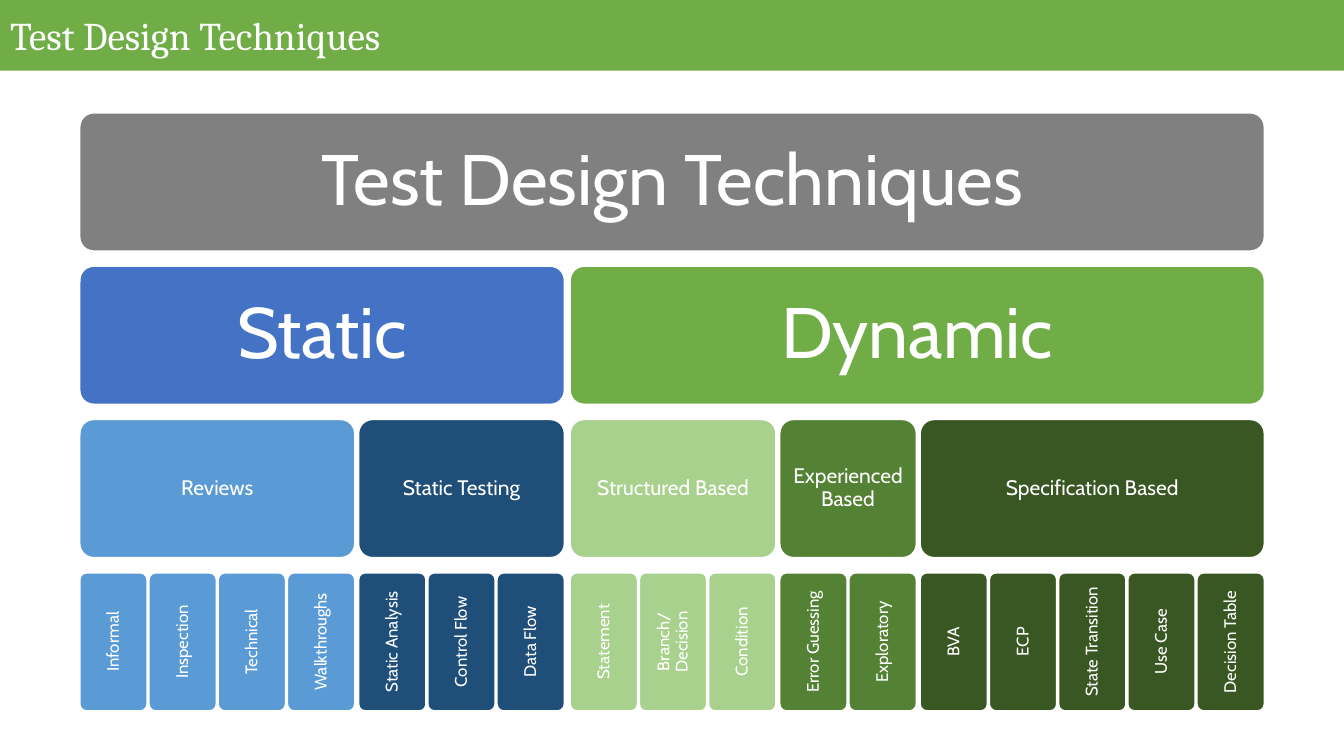
from pptx import Presentation
from pptx.dml.color import RGBColor
from pptx.enum.shapes import MSO_SHAPE
from pptx.enum.text import MSO_ANCHOR, MSO_AUTO_SIZE, PP_ALIGN
from pptx.util import Pt

TITLE = "Test Design Techniques"
# Each block: label, fill, child blocks (a plain string is a leaf in its parent's fill)
TREE = ("Test Design Techniques", "808080", [
    ("Static", "4472C4", [
        ("Reviews", "5B9BD5",
         ["Informal", "Inspection", "Technical", "Walkthroughs"]),
        ("Static Testing", "1F4E79",
         ["Static Analysis", "Control Flow", "Data Flow"]),
    ]),
    ("Dynamic", "70AD47", [
        ("Structured Based", "A9D18E",
         ["Statement", "Branch/Decision", "Condition"]),
        ("Experienced Based", "548235", ["Error Guessing", "Exploratory"]),
        ("Specification Based", "385723",
         ["BVA", "ECP", "State Transition", "Use Case", "Decision Table"]),
    ]),
])
WHITE, GREEN = "FFFFFF", "70AD47"

# One entry per level of the tree
SIZES = [51, 51, 15, 12]
INSETS = [15, 15, 4.3, 3.6]
GAPS = [0, 4.2, 2.8, 1.4]

LEFT, TOP = 57, 80.7
LEAF, HIGH, STEP = 48.04, 98.6, 109.5


def color(code):
    return RGBColor.from_string(code)


def assign(item, values):
    for name, value in values.items():
        setattr(item, name, value)


def style(run, face, size):
    assign(run.font, {"name": face, "size": Pt(size)})
    run.font.color.rgb = color(WHITE)


def block(label, fill, level, left, width):
    box = slide.shapes.add_shape(
        MSO_SHAPE.ROUNDED_RECTANGLE, Pt(left), Pt(TOP + level * STEP),
        Pt(width), Pt(HIGH))
    box.adjustments[0] = 0.1
    box.shadow.inherit = False
    box.fill.solid()
    box.fill.fore_color.rgb = color(fill)
    box.line.color.rgb = color(WHITE)
    box.line.width = Pt(1)
    frame = box.text_frame
    inset = Pt(INSETS[level])
    assign(frame, {
        "word_wrap": True, "vertical_anchor": MSO_ANCHOR.MIDDLE,
        "margin_left": inset, "margin_right": inset,
        "margin_top": inset, "margin_bottom": inset})
    if level == len(SIZES) - 1:
        frame._txBody.bodyPr.set("vert", "vert270")
    para = frame.paragraphs[0]
    assign(para, {"alignment": PP_ALIGN.CENTER, "line_spacing": 0.9})
    run = para.add_run()
    run.text = label
    style(run, "Cabin", SIZES[level])


def grow(node, fill, level, left):
    """Draw a node above its children and return its right edge."""
    if isinstance(node, str):
        label, kids, right = node, [], left + LEAF
    else:
        label, fill, kids = node
        right = left
    for order, kid in enumerate(kids):
        start = right + GAPS[level + 1] if order else left
        right = grow(kid, fill, level + 1, start)
    block(label, fill, level, left, right - left)
    return right


deck = Presentation()
assign(deck, {"slide_width": Pt(960), "slide_height": Pt(540)})
slide = deck.slides.add_slide(deck.slide_layouts[5])

title = slide.shapes.title
assign(title, {"left": 0, "top": 0, "width": Pt(960), "height": Pt(50.4)})
title.fill.solid()
title.fill.fore_color.rgb = color(GREEN)
title.text = TITLE
assign(title.text_frame, {
    "vertical_anchor": MSO_ANCHOR.MIDDLE, "auto_size": MSO_AUTO_SIZE.NONE})
heading = title.text_frame.paragraphs[0]
heading.alignment = PP_ALIGN.LEFT
style(heading.runs[0], "Cambria", 28)

grow(TREE, None, 0, LEFT)
deck.save("out.pptx")
